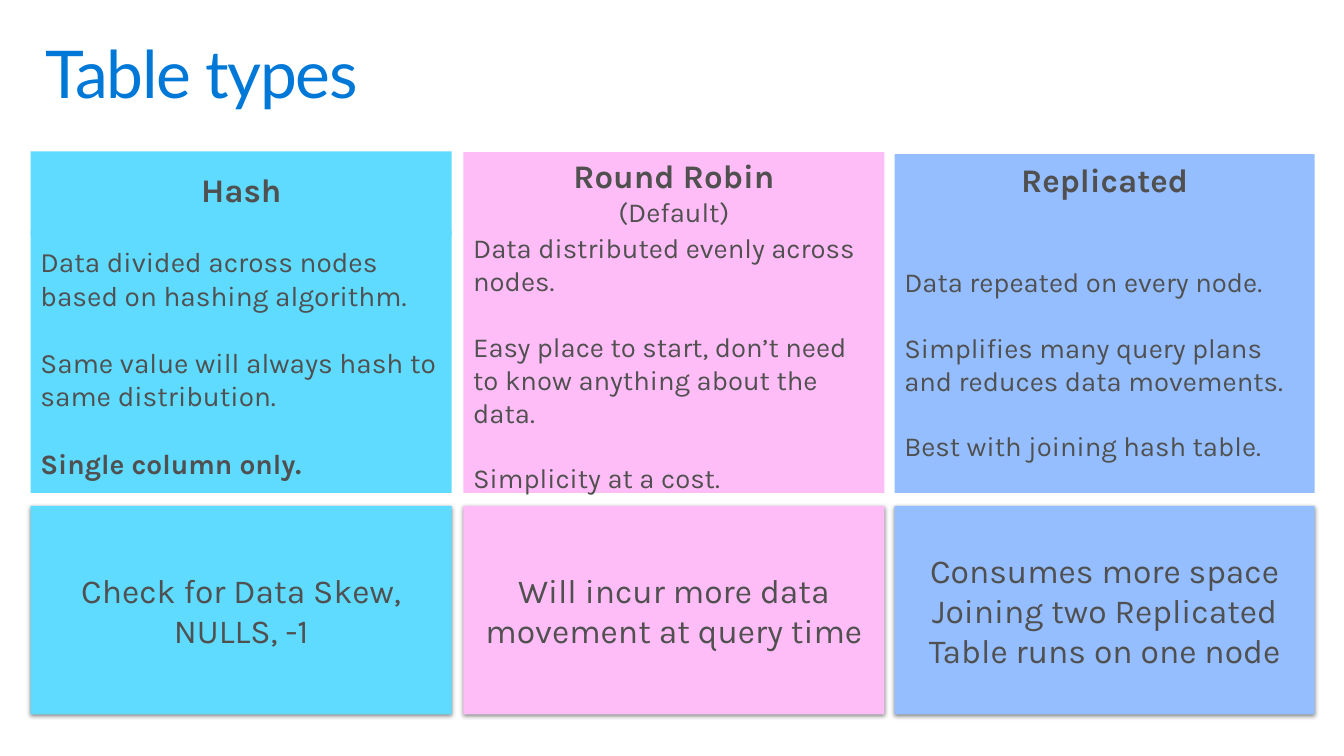
from dataclasses import dataclass

from lxml import etree
from pptx import Presentation
from pptx import util as u
from pptx.dml.color import RGBColor
from pptx.enum import shapes, text
from pptx.oxml import ns


@dataclass(frozen=True)
class Theme:
    """Colours, fonts and type sizes of the slide."""
    title: str = "0078D7"
    ink: str = "505050"
    hash: str = "5EDBFF"
    robin: str = "FFBDF7"
    replicated: str = "94BEFF"
    shadow: str = "000000"
    title_font: str = "Lato"
    body_font: str = "Karla"
    title_size: float = 48
    head_size: float = 24
    body_size: float = 20
    large_body_size: float = 20.4
    card_size: float = 24.5


THEME = Theme()
CENTER, LEFT = text.PP_ALIGN.CENTER, text.PP_ALIGN.LEFT
BODY_BOTTOM = 12.67
CARD_TOP, CARD_HEIGHT = 13.0, 5.36

COLUMNS = [
    dict(box=(0.79, 3.89, 10.82), color=THEME.hash, split=5.94, head_height=2.16,
         head=[("Hash", THEME.head_size, True)], head_pad=0.1, head_spacing=0.9,
         body=[("Data divided across nodes based on hashing algorithm.", False),
               ("Same value will always hash to same distribution.", False),
               ("Single column only.", True)],
         body_size=THEME.large_body_size,
         card=["Check for Data Skew, NULLS, -1"]),
    dict(box=(11.91, 3.91, 10.82), color=THEME.robin, split=5.97, head_height=2.06,
         head=[("Round Robin", THEME.head_size, True),
               ("(Default)", THEME.body_size, False)], head_pad=0, head_spacing=1.0,
         body=[("Data distributed evenly across nodes.", False),
               ("Easy place to start, don’t need to know anything about the data.", False),
               ("Simplicity at a cost.", False)],
         body_size=THEME.body_size,
         card=["Will incur more data movement at query time"]),
    dict(box=(22.99, 3.96, 10.8), color=THEME.replicated, split=6.02, head_height=2.06,
         head=[("Replicated", THEME.head_size, True)], head_pad=0.76, head_spacing=1.0,
         body=[("Data repeated on every node.", False),
               ("Simplifies many query plans and reduces data movements.", False),
               ("Best with joining hash table.", False)],
         body_size=THEME.body_size,
         card=["Consumes more space", "Joining two Replicated", "Table runs on one node"]),
]


def set_all(target, values):
    """Set each named attribute on the target."""
    for name, value in values.items():
        setattr(target, name, value)


def set_insets(tf, x, top, bottom):
    """Wrap the text and set its margins in centimetres."""
    set_all(tf, dict(word_wrap=True, margin_left=u.Cm(x), margin_right=u.Cm(x),
                     margin_top=u.Cm(top), margin_bottom=u.Cm(bottom)))


def write(tf, lines, color, font, align=LEFT, spacing=1.0, gap=0):
    """Fill the frame with (wording, size, bold) paragraphs."""
    for i, (wording, size, bold) in enumerate(lines):
        p = tf.add_paragraph() if i else tf.paragraphs[0]
        set_all(p, dict(alignment=align, line_spacing=spacing,
                        space_before=u.Pt(gap if i else 0)))
        r = p.add_run()
        r.text = wording
        set_all(r.font, dict(name=font, size=u.Pt(size), bold=bold))
        r.font.color.rgb = RGBColor.from_string(color)


def add_panel(s, box, color, insets):
    """Add a plain filled rectangle ready for text."""
    sp = s.shapes.add_shape(shapes.MSO_SHAPE.RECTANGLE, *map(u.Cm, box))
    sp.shadow.inherit = False
    sp.fill.solid()
    sp.fill.fore_color.rgb = RGBColor.from_string(color)
    sp.line.fill.background()
    set_insets(sp.text_frame, *insets)
    sp.text_frame.vertical_anchor = text.MSO_ANCHOR.MIDDLE
    return sp


def add_shadow(sp):
    """Give the shape a soft shadow falling straight down."""
    effects = sp._element.spPr.find(ns.qn("a:effectLst"))
    outer = etree.SubElement(effects, ns.qn("a:outerShdw"), blurRad=str(u.Pt(3.5)),
                             dist=str(u.Pt(1.1)), dir="5400000", algn="t", rotWithShape="0")
    color = etree.SubElement(outer, ns.qn("a:srgbClr"), val=THEME.shadow)
    etree.SubElement(color, ns.qn("a:alpha"), val="45000")


def add_title(s, box, wording):
    """Place the slide title in its box."""
    tf = s.shapes.add_textbox(*map(u.Cm, box)).text_frame
    set_insets(tf, 0.41, 0.25, 0.25)
    write(tf, [(wording, THEME.title_size, False)], THEME.title, THEME.title_font, spacing=0.9)
    tf.paragraphs[0].runs[0]._r.get_or_add_rPr().set("spc", "-100")


def add_type(s, box, color, split, head_height, head, head_pad, head_spacing,
             body, body_size, card):
    """Place one table type: heading, description and caution card."""
    left, top, width = box
    sp = add_panel(s, (left, split, width, BODY_BOTTOM - split), color, (0.25, 0.13, 0.13))
    write(sp.text_frame, [(line, body_size, bold) for line, bold in body],
          THEME.ink, THEME.body_font, gap=body_size * 1.2)
    sp = add_panel(s, (left, top, width, head_height), color, (0.25, 0, head_pad))
    write(sp.text_frame, head, THEME.ink, THEME.body_font, CENTER, head_spacing)
    sp = add_panel(s, (left, CARD_TOP, width, CARD_HEIGHT), color, (0, 0.13, 0.13))
    add_shadow(sp)
    write(sp.text_frame, [(line, THEME.card_size, False) for line in card],
          THEME.ink, THEME.body_font, CENTER)


def main():
    """Build and save the slide."""
    prs = Presentation()
    set_all(prs, dict(slide_width=u.Cm(34.54), slide_height=u.Cm(19.43)))
    s = prs.slides.add_slide(prs.slide_layouts[6])
    add_title(s, (0.76, 0.81, 33.02, 2.54), "Table types")
    for column in COLUMNS:
        add_type(s, **column)
    prs.save("out.pptx")


if __name__ == "__main__":
    main()
